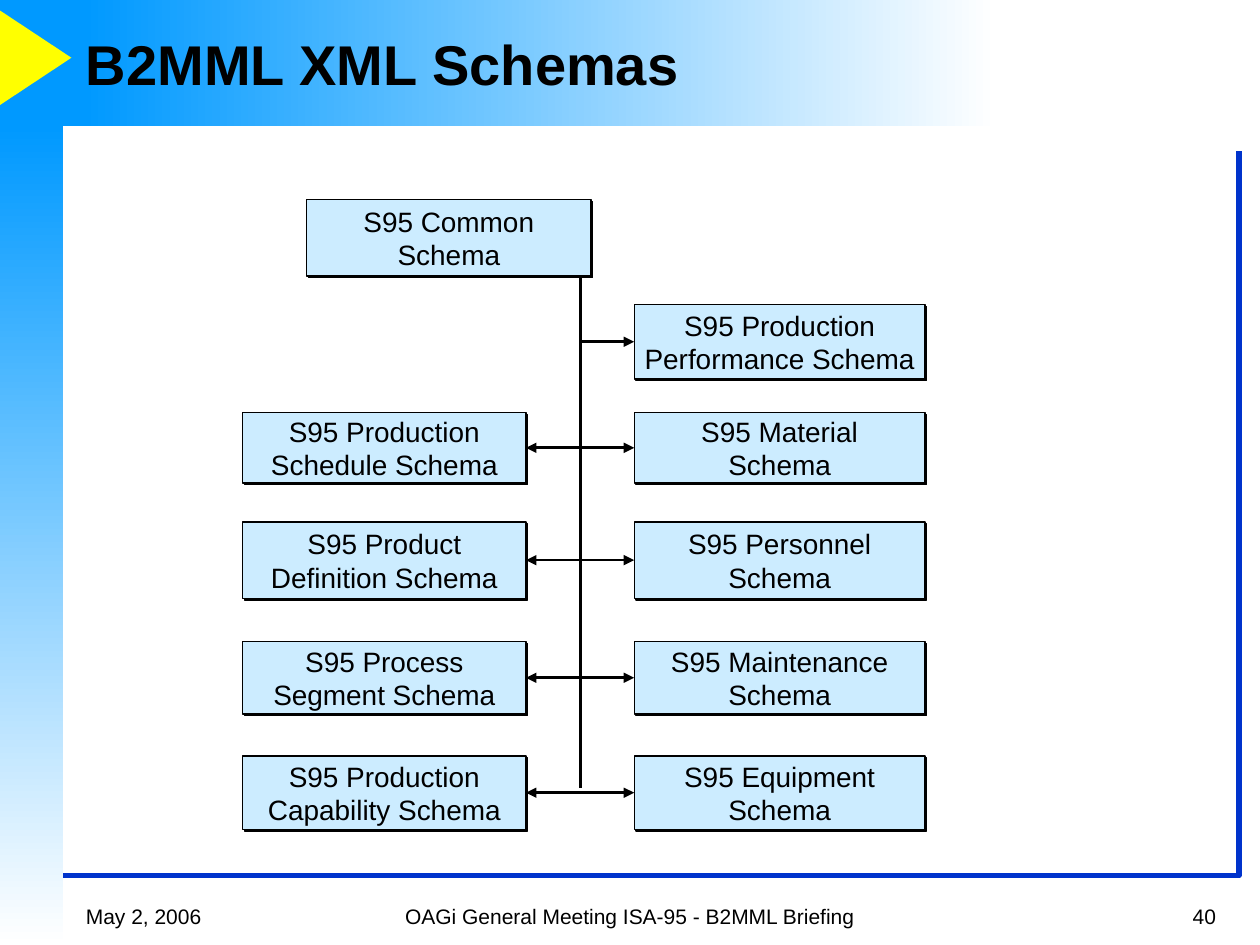
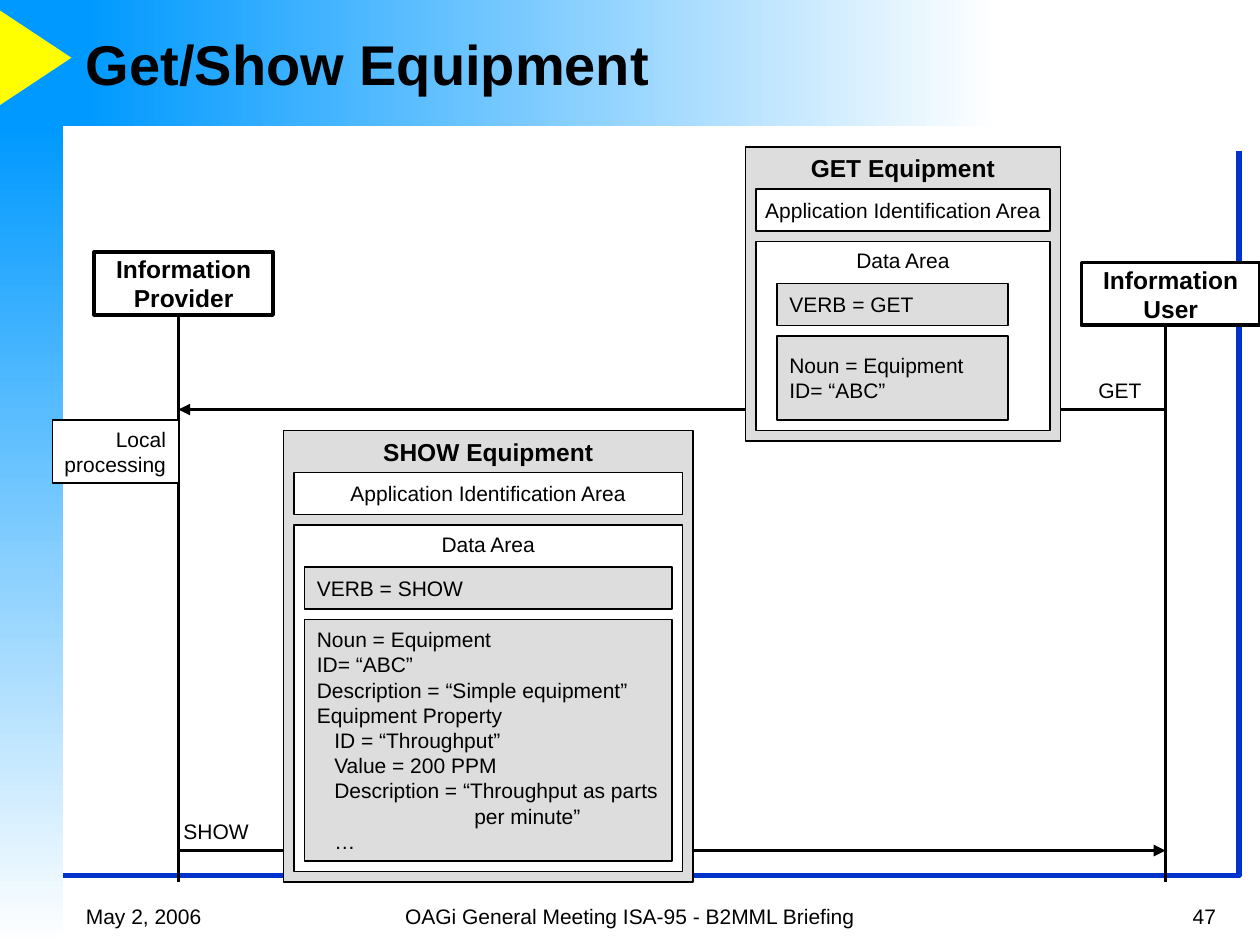
from lxml.etree import SubElement
from pptx import Presentation
from pptx.dml.color import RGBColor
from pptx.enum.shapes import MSO_CONNECTOR, MSO_SHAPE
from pptx.enum.text import MSO_ANCHOR, PP_ALIGN
from pptx.oxml.ns import qn
from pptx.util import Inches, Pt

COLORS = {
    "black": "000000",
    "white": "FFFFFF",
    "sky": "0099FF",
    "yellow": "FFFF00",
    "frame": "0033CC",
    "schema": "CCECFF",
    "panel": "DDDDDD",
}
FONT = "Arial"
COLUMNS, ROWS = 120, 90
LEFT, TOP_SIDE, RIGHT_SIDE = 1, 0, 3
TRUNK = 55.3

SCHEMA_ROWS = [
    (29, 7.1, None, ["S95 Production", "Performance Schema"]),
    (39.3, 6.7, ["S95 Production", "Schedule Schema"], ["S95 Material", "Schema"]),
    (49.7, 7.3, ["S95 Product", "Definition Schema"], ["S95 Personnel", "Schema"]),
    (61.1, 6.9, ["S95 Process", "Segment Schema"], ["S95 Maintenance", "Schema"]),
    (72, 7, ["S95 Production", "Capability Schema"], ["S95 Equipment", "Schema"]),
]
GET_NOUN = ["Noun = Equipment", "ID= “ABC”"]
SHOW_NOUN = GET_NOUN + [
    "Description = “Simple equipment”",
    "Equipment Property",
    "ID = “Throughput”",
    "Value = 200 PPM",
    "Description = “Throughput as parts",
    "per minute”",
    "…",
]
SHOW_INDENTS = [0] * 4 + [10] * 3 + [90, 10]


def cells(count):
    return Inches(count / 12)


def color(name):
    return RGBColor.from_string(COLORS[name])


def write(shape, lines, size=12, bold=False, align=PP_ALIGN.LEFT,
          anchor=MSO_ANCHOR.MIDDLE, wrap=False, indents=None):
    frame = shape.text_frame
    frame.word_wrap = wrap
    frame.vertical_anchor = anchor
    frame.text = "\n".join(lines)
    for paragraph, indent in zip(frame.paragraphs, indents or [0] * len(lines)):
        paragraph.alignment = align
        if indent:
            paragraph._p.get_or_add_pPr().set("marL", str(Pt(indent)))
        paragraph.font.name = FONT
        paragraph.font.size = Pt(size)
        paragraph.font.bold = bold
        paragraph.font.color.rgb = color("black")


def add_box(slide, area, fill, line_width=0.75, kind=MSO_SHAPE.RECTANGLE):
    shape = slide.shapes.add_shape(kind, *map(cells, area))
    shape.shadow.inherit = False
    shape.fill.solid()
    shape.fill.fore_color.rgb = color(fill)
    if line_width:
        shape.line.color.rgb = color("black")
        shape.line.width = Pt(line_width)
    else:
        shape.line.fill.background()
    return shape


def add_text(slide, area, text, **style):
    write(slide.shapes.add_textbox(*map(cells, area)), [text], **style)


def add_fade(slide, area, angle):
    shape = add_box(slide, area, "sky", 0)
    shape.fill.gradient()
    shape.fill.gradient_angle = angle
    for stop, name in zip(shape.fill.gradient_stops, ("sky", "white")):
        stop.color.rgb = color(name)


def add_line(slide, start, end, width, head=False, tail=False):
    connector = slide.shapes.add_connector(
        MSO_CONNECTOR.STRAIGHT, *map(cells, (*start, *end)))
    connector.line.color.rgb = color("black")
    connector.line.width = Pt(width)
    properties = connector._element.spPr
    outline = properties.find(qn("a:ln"))
    for tag, wanted in (("a:headEnd", head), ("a:tailEnd", tail)):
        if wanted:
            SubElement(outline, qn(tag), type="triangle")
    SubElement(properties, qn("a:effectLst"))
    return connector


def add_frame_line(slide):
    builder = slide.shapes.build_freeform(cells(6), cells(83.4))
    builder.add_line_segments(
        [(cells(118), cells(83.4)), (cells(118), cells(14.4))], close=False)
    outline = builder.convert_to_shape()
    outline.shadow.inherit = False
    outline.fill.background()
    outline.line.color.rgb = color("frame")
    outline.line.width = Pt(3)


def add_base(presentation, title, number):
    slide = presentation.slides.add_slide(presentation.slide_layouts[6])
    add_fade(slide, (8, 0, 87, 12), 0)
    add_fade(slide, (0, 12, 6, 78), 270)
    add_box(slide, (0, 0, 8, 12), "sky", 0)
    pointer = add_box(slide, (-1.1, 2.1, 9, 6.8), "yellow", 0,
                      MSO_SHAPE.ISOSCELES_TRIANGLE)
    pointer.rotation = 90
    add_frame_line(slide)
    add_text(slide, (7, 1, 88, 10), title, size=32, bold=True, wrap=True)
    footers = [
        (7, 25, "May 2, 2006", PP_ALIGN.LEFT),
        (33, 54, "OAGi General Meeting ISA-95 - B2MML Briefing", PP_ALIGN.CENTER),
        (92, 25, number, PP_ALIGN.RIGHT),
    ]
    for left, width, text, align in footers:
        add_text(slide, (left, 85, width, 4), text, align=align,
                 anchor=MSO_ANCHOR.BOTTOM, wrap=True)
    return slide


def add_schema(slide, area, lines):
    shape = add_box(slide, area, "schema")
    effects = shape._element.spPr.find(qn("a:effectLst"))
    shadow = SubElement(effects, qn("a:outerShdw"), dist=str(Pt(1.4)),
                        dir="2700000", algn="ctr", rotWithShape="0")
    SubElement(shadow, qn("a:srgbClr"), val=COLORS["black"])
    write(shape, lines, size=16, align=PP_ALIGN.CENTER)
    return shape


def add_schema_row(slide, top, height, left_lines, right_lines):
    middle = top + height / 2
    right_box = add_schema(slide, (60.4, top, 27.7, height), right_lines)
    arrow = add_line(slide, (60.4, middle), (TRUNK, middle), 1.5,
                     head=True, tail=bool(left_lines))
    arrow.begin_connect(right_box, LEFT)
    if left_lines:
        left_box = add_schema(slide, (23.1, top, 27, height), left_lines)
        arrow.end_connect(left_box, RIGHT_SIDE)


def add_schema_slide(presentation):
    slide = add_base(presentation, "B2MML XML Schemas", "40")
    add_line(slide, (TRUNK, 75), (TRUNK, 26), 1.5)
    for row in SCHEMA_ROWS:
        add_schema_row(slide, *row)
    add_schema(slide, (29.2, 19, 27.1, 7.3), ["S95 Common", "Schema"])


def add_message(slide, area, verb, inner_left, inner_width, noun, indents=None):
    left, top, width, height = area
    heading = {"align": PP_ALIGN.CENTER, "anchor": MSO_ANCHOR.TOP}
    write(add_box(slide, area, "panel"), [f"{verb} Equipment"],
          size=14, bold=True, **heading)
    write(add_box(slide, (left + 1, top + 4, width - 2, 4), "white"),
          ["Application Identification Area"], align=PP_ALIGN.CENTER)
    write(add_box(slide, (left + 1, top + 9, width - 2, height - 10), "white"),
          ["Data Area"], **heading)
    write(add_box(slide, (inner_left, top + 13, inner_width, 4), "panel"),
          [f"VERB = {verb}"])
    write(add_box(slide, (inner_left, top + 18, inner_width, height - 20), "panel"),
          noun, indents=indents)


def add_exchange_slide(presentation):
    slide = add_base(presentation, "Get/Show Equipment", "47")
    provider, user = 17, 111
    parties = [
        (9, 24, provider, "Information Provider"),
        (103, 25, user, "Information User"),
    ]
    for left, top, lifeline, name in parties:
        write(add_box(slide, (left, top, 17, 6), "white", 2.25), [name],
              size=14, bold=True, align=PP_ALIGN.CENTER, wrap=True)
        add_line(slide, (lifeline, top + 6), (lifeline, 84), 2.25)
    add_line(slide, (provider, 39), (user, 39), 2.25, head=True)
    add_line(slide, (provider, 81), (user, 81), 2.25, tail=True)
    add_text(slide, (103.4, 35.4, 6.5, 3.6), "GET", align=PP_ALIGN.RIGHT)
    add_text(slide, (16.3, 77.4, 8.7, 3.6), "SHOW")
    write(add_box(slide, (5, 40, 12, 6), "white"), ["Local", "processing"],
          align=PP_ALIGN.RIGHT)
    add_message(slide, (71, 14, 30, 28), "GET", 74, 22, GET_NOUN)
    add_message(slide, (27, 41, 39, 43), "SHOW", 29, 35, SHOW_NOUN, SHOW_INDENTS)


def main():
    presentation = Presentation()
    presentation.slide_width = cells(COLUMNS)
    presentation.slide_height = cells(ROWS)
    add_schema_slide(presentation)
    add_exchange_slide(presentation)
    presentation.save("out.pptx")


if __name__ == "__main__":
    main()
